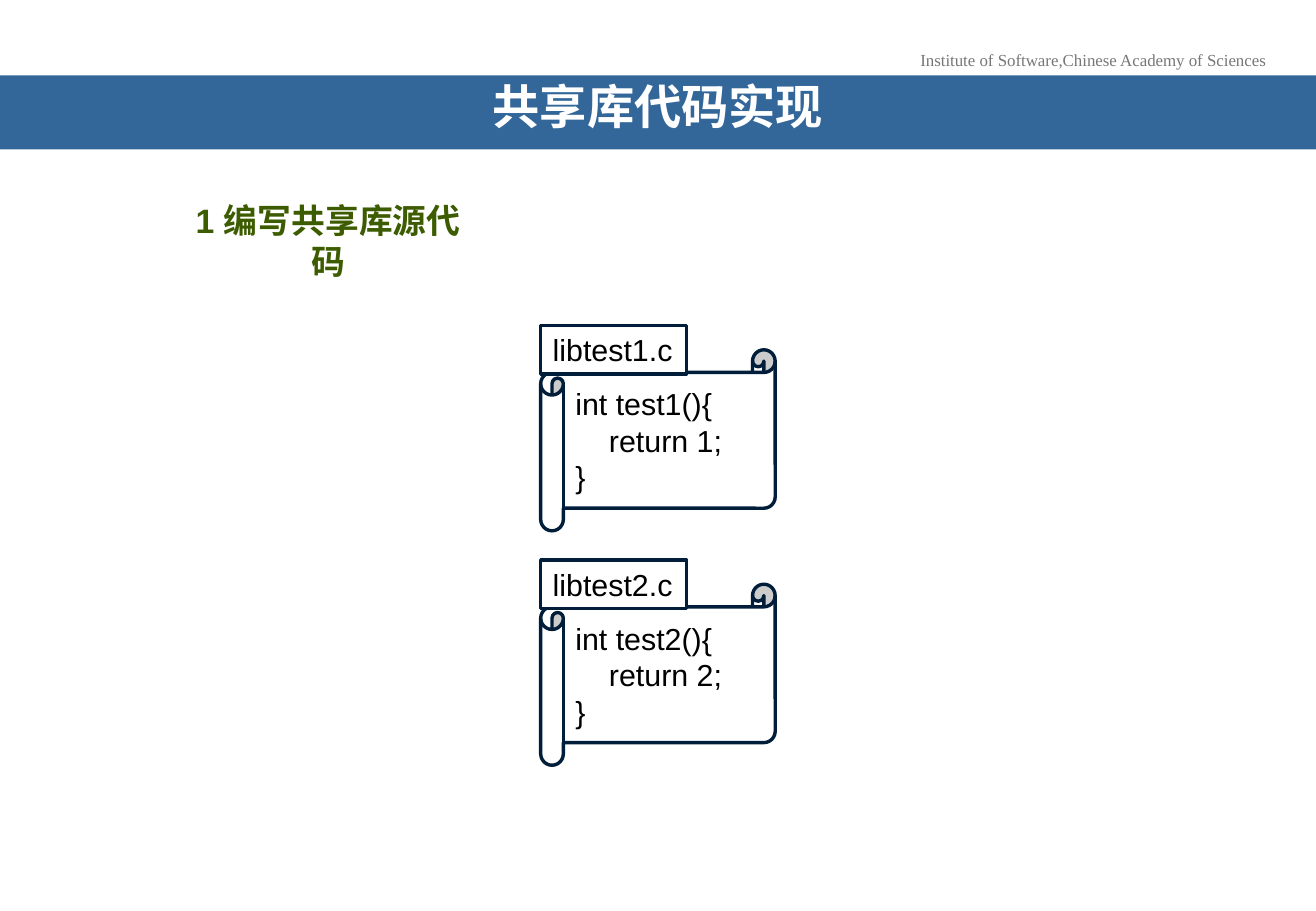
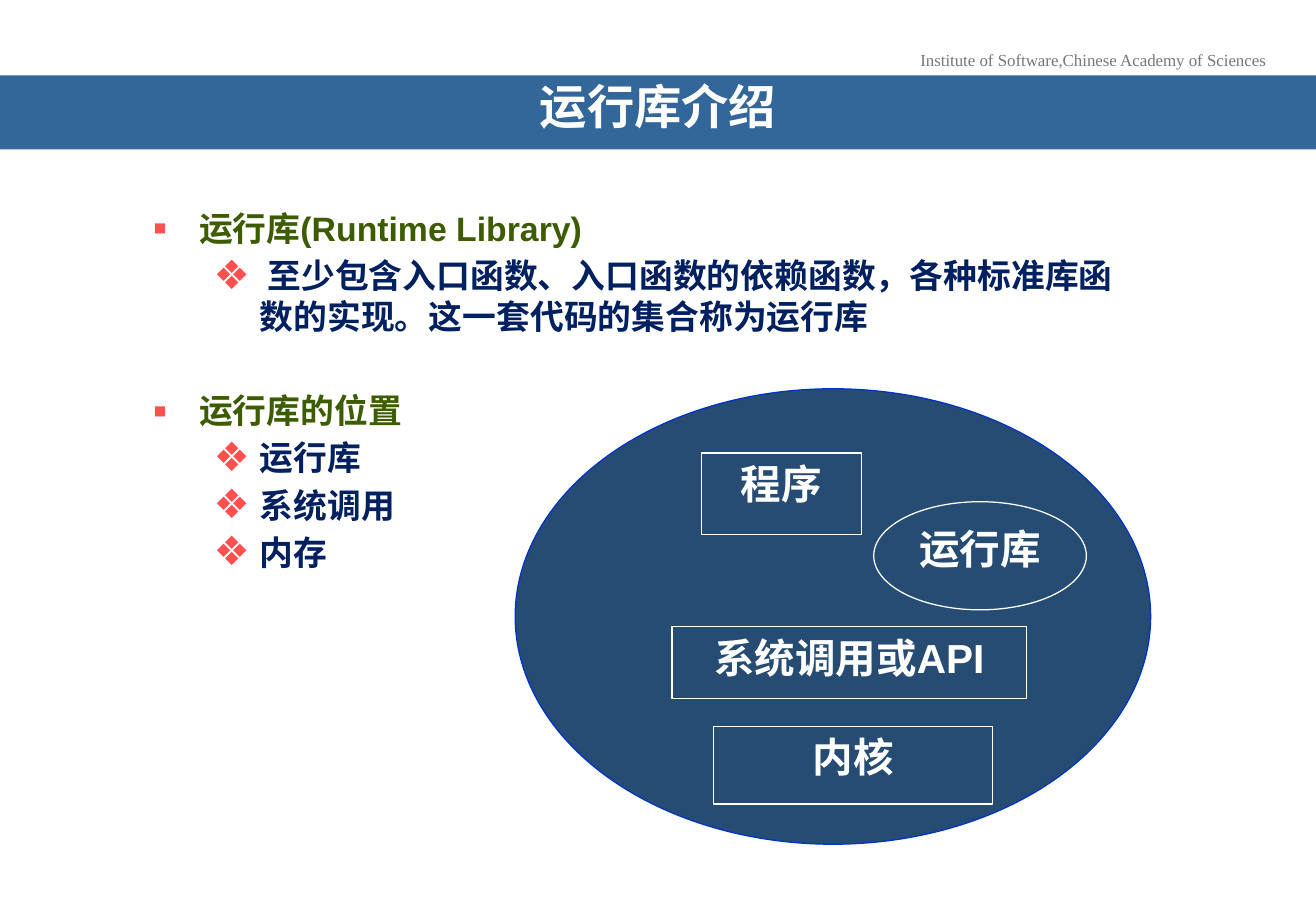
from lxml.etree import SubElement
from pptx import Presentation
from pptx.dml.color import RGBColor
from pptx.enum.shapes import MSO_SHAPE
from pptx.enum.text import MSO_ANCHOR, PP_ALIGN
from pptx.oxml.ns import qn
from pptx.util import Inches, Pt

WHITE = RGBColor(0xFF, 0xFF, 0xFF)
BLACK = RGBColor(0x00, 0x00, 0x00)
GREY = RGBColor(0x77, 0x77, 0x77)
BAND_BLUE = RGBColor(0x33, 0x66, 0x99)
DIAGRAM_BLUE = RGBColor(0x26, 0x4C, 0x73)
RIM_BLUE = RGBColor(0x00, 0x33, 0xCC)
INK = RGBColor(0x00, 0x1D, 0x3A)
NAVY = RGBColor(0x00, 0x20, 0x60)
GREEN = RGBColor(0x3D, 0x5C, 0x00)
CORAL = RGBColor(0xFF, 0x50, 0x50)

INSTITUTE = "Institute of Software,Chinese Academy of Sciences"
BULLETS = [("▪", 0.38, GREEN), ("❖", 0.88, NAVY)]
HANGING = 0.38


class Deck:
    """Slides on a grid of 100 columns by 100 rows."""

    def __init__(self):
        self.presentation = Presentation()
        self.presentation.slide_width = Inches(10.83)
        self.presentation.slide_height = Inches(7.5)
        self.slide = None

    def place(self, left, top, width, height):
        column = self.presentation.slide_width / 100
        row = self.presentation.slide_height / 100
        return [round(n) for n in (left * column, top * row, width * column, height * row)]

    def style(self, paragraph, size, color, bold=False, font="Arial", align=PP_ALIGN.LEFT):
        paragraph.alignment = align
        paragraph.font.size = Pt(size)
        paragraph.font.name = font
        paragraph.font.bold = bold
        paragraph.font.color.rgb = color

    def fill_text(self, frame, lines, size, color, wrap=True, anchor=MSO_ANCHOR.TOP, **look):
        frame.word_wrap = wrap
        frame.vertical_anchor = anchor
        for number, line in enumerate(lines):
            paragraph = frame.paragraphs[0] if number == 0 else frame.add_paragraph()
            paragraph.add_run().text = line
            self.style(paragraph, size, color, **look)

    def text(self, area, line, size, color, **look):
        box = self.slide.shapes.add_textbox(*self.place(*area))
        self.fill_text(box.text_frame, [line], size, color, **look)

    def shape(self, preset, area, fill, line=None, weight=0.75):
        shape = self.slide.shapes.add_shape(preset, *self.place(*area))
        shape.shadow.inherit = False
        shape.fill.solid()
        shape.fill.fore_color.rgb = fill
        if line is None:
            shape.line.fill.background()
        else:
            shape.line.color.rgb = line
            shape.line.width = Pt(weight)
        return shape

    def new_slide(self, title):
        self.slide = self.presentation.slides.add_slide(self.presentation.slide_layouts[6])
        self.text((68.88, 4.8, 28.35, 3.6), INSTITUTE, 10, GREY, wrap=False,
                  font="Times New Roman", align=PP_ALIGN.CENTER)
        frame = self.shape(MSO_SHAPE.RECTANGLE, (0, 8.27, 100, 8.13), BAND_BLUE).text_frame
        frame.margin_left = frame.margin_right = Inches(0.31)
        self.fill_text(frame, [title], 28, WHITE, anchor=MSO_ANCHOR.MIDDLE, bold=True,
                       font="Arial Narrow", align=PP_ALIGN.CENTER)
        frame.paragraphs[0].line_spacing = 0.7

    def source_file(self, top, filename, code):
        scroll = self.shape(MSO_SHAPE.HORIZONTAL_SCROLL, (41.09, top + 2.67, 17.82, 19.87),
                            WHITE, INK, 2)
        self.fill_text(scroll.text_frame, code, 18, BLACK, anchor=MSO_ANCHOR.MIDDLE)
        tag = self.shape(MSO_SHAPE.RECTANGLE, (41.09, top, 11.08, 5.33), WHITE, INK, 2)
        self.fill_text(tag.text_frame, [filename], 18, BLACK, wrap=False)

    def bullet(self, paragraph, level):
        symbol, indent, color = BULLETS[level]
        paragraph.level = level
        properties = paragraph._p.get_or_add_pPr()
        properties.set("marL", str(Inches(indent)))
        properties.set("indent", str(-Inches(HANGING)))
        tint = SubElement(properties, qn("a:buClr"))
        SubElement(tint, qn("a:srgbClr"), val=str(CORAL))
        SubElement(properties, qn("a:buSzPct"), val="120000")
        SubElement(properties, qn("a:buFont"), typeface="Arial")
        SubElement(properties, qn("a:buChar"), char=symbol)
        self.style(paragraph, 20, color, bold=True)

    def outline(self, area, items):
        frame = self.slide.shapes.add_textbox(*self.place(*area)).text_frame
        frame.word_wrap = True
        for number, (level, line, space) in enumerate(items):
            paragraph = frame.paragraphs[0] if number == 0 else frame.add_paragraph()
            paragraph.add_run().text = line
            self.bullet(paragraph, level)
            paragraph.space_before = Pt(space)

    def component(self, preset, area, label):
        part = self.shape(preset, area, DIAGRAM_BLUE, WHITE)
        self.fill_text(part.text_frame, [label], 24, WHITE, bold=True, align=PP_ALIGN.CENTER)


def main():
    deck = Deck()

    deck.new_slide("共享库代码实现")
    deck.text((12.93, 21.33, 24, 5.87), "1 编写共享库源代码", 20, GREEN,
              bold=True, align=PP_ALIGN.CENTER)
    for number in (1, 2):
        deck.source_file(35.73 + 25.73 * (number - 1), f"libtest{number}.c",
                         [f"int test{number}(){{", f"    return {number};", "}"])

    deck.new_slide("运行库介绍")
    deck.outline((10.71, 22.13, 75.44, 69.6), [
        (0, "运行库(Runtime Library)", 0),
        (1, " 至少包含入口函数、入口函数的依赖函数，各种标准库函数的实现。这一套代码的集合称为运行库", 4),
        (0, "运行库的位置", 32),
        (1, "运行库", 4),
        (1, "系统调用", 4),
        (1, "内存", 4),
    ])
    deck.shape(MSO_SHAPE.OVAL, (39.15, 42.67, 48.29, 50), DIAGRAM_BLUE, RIM_BLUE)
    for preset, area, label in [
        (MSO_SHAPE.RECTANGLE, (53.28, 49.73, 12.19, 8.93), "程序"),
        (MSO_SHAPE.OVAL, (66.39, 55.07, 16.16, 11.87), "运行库"),
        (MSO_SHAPE.RECTANGLE, (51.06, 68.8, 26.96, 7.87), "系统调用或API"),
        (MSO_SHAPE.RECTANGLE, (54.2, 79.73, 21.24, 8.53), "内核"),
    ]:
        deck.component(preset, area, label)

    deck.presentation.save("out.pptx")


if __name__ == "__main__":
    main()
